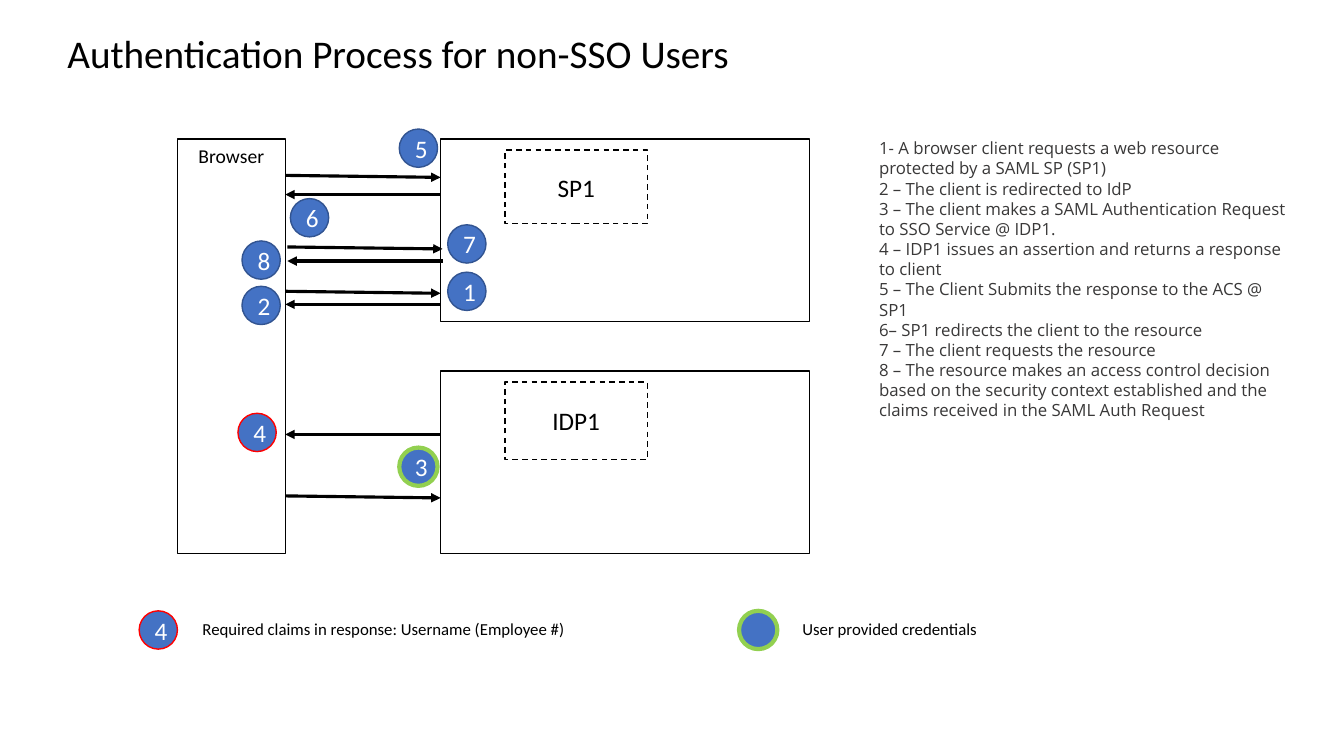
from pptx import Presentation
from pptx.dml.color import RGBColor
from pptx.enum.dml import MSO_LINE
from pptx.enum.shapes import MSO_CONNECTOR, MSO_SHAPE
from pptx.enum.text import MSO_ANCHOR, PP_ALIGN
from pptx.oxml.ns import qn
from pptx.util import Inches, Pt
from lxml import etree

BLACK = RGBColor(0x00, 0x00, 0x00)
WHITE = RGBColor(0xFF, 0xFF, 0xFF)
GRAY = RGBColor(0x39, 0x38, 0x38)
BLUE = RGBColor(0x44, 0x72, 0xC4)
DARK_BLUE = RGBColor(0x32, 0x54, 0x91)
RED = RGBColor(0xFF, 0x00, 0x00)
GREEN = RGBColor(0x92, 0xD0, 0x50)

RECTANGLE, OVAL = MSO_SHAPE.RECTANGLE, MSO_SHAPE.OVAL
STRAIGHT, DASH = MSO_CONNECTOR.STRAIGHT, MSO_LINE.DASH
LEFT, CENTER = PP_ALIGN.LEFT, PP_ALIGN.CENTER
TOP, MIDDLE = MSO_ANCHOR.TOP, MSO_ANCHOR.MIDDLE

CIRCLE_SIZE = 0.38

STEPS = [
    "1- A browser client requests a web resource protected by a SAML SP (SP1)",
    "2 – The client is redirected to IdP",
    "3 – The client makes a SAML Authentication Request to SSO Service @ IDP1.",
    "4 – IDP1 issues an assertion and returns a response to client",
    "5 – The Client Submits the response to the ACS @ SP1",
    "6– SP1 redirects the client to the resource",
    "7 – The client requests the resource",
    "8 – The resource makes an access control decision based on the security "
    "context established and the claims received in the SAML Auth Request",
]


def write_text(shape, lines, size=18, font="Calibri", color=BLACK,
               align=LEFT, anchor=TOP, line_spacing=None):
    frame = shape.text_frame
    frame.word_wrap = True
    frame.vertical_anchor = anchor
    frame.text = "\n".join(lines)
    for paragraph in frame.paragraphs:
        paragraph.alignment = align
        paragraph.line_spacing = line_spacing
        paragraph.font.size = Pt(size)
        paragraph.font.name = font
        paragraph.font.color.rgb = color


def add_text(slide, box, lines, **text_format):
    write_text(slide.shapes.add_textbox(*map(Inches, box)), lines, **text_format)


def add_box(slide, box, label="", dash=None, **text_format):
    shape = slide.shapes.add_shape(RECTANGLE, *map(Inches, box))
    shape.shadow.inherit = False
    shape.fill.background()
    shape.line.color.rgb = BLACK
    shape.line.width = Pt(1)
    if dash:
        shape.line.dash_style = dash
    if label:
        write_text(shape, [label], align=CENTER, **text_format)


def add_circle(slide, left, top, label="", outline=DARK_BLUE, width=1):
    size = Inches(CIRCLE_SIZE)
    shape = slide.shapes.add_shape(OVAL, Inches(left), Inches(top), size, size)
    shape.shadow.inherit = False
    shape.fill.solid()
    shape.fill.fore_color.rgb = BLUE
    shape.line.color.rgb = outline
    shape.line.width = Pt(width)
    if label:
        write_text(shape, [label], color=WHITE, align=CENTER, anchor=MIDDLE)


def add_arrow(slide, start, end):
    arrow = slide.shapes.add_connector(STRAIGHT, *map(Inches, start + end))
    arrow.line.color.rgb = BLACK
    arrow.line.width = Pt(2.25)
    etree.SubElement(arrow.line._get_or_add_ln(), qn("a:tailEnd"), type="triangle")
    etree.SubElement(arrow._element.spPr, qn("a:effectLst"))


def add_server(slide, box, name, label_top, label_height):
    left, top, _, _ = box
    add_box(slide, box)
    add_box(slide, (left + 0.64, top + label_top, 1.41, label_height), name,
            dash=DASH, anchor=MIDDLE)


def add_diagram(slide, left, top):
    browser_right, server_left = left + 1.07, left + 2.61

    # Browser and servers
    add_box(slide, (left, top, 1.07, 4.11), "Browser", size=14)
    add_server(slide, (server_left, top, 3.66, 1.81), "SP1", 0.11, 0.73)
    add_server(slide, (server_left, top + 2.3, 3.66, 1.81), "IDP1", 0.11, 0.77)

    # Requests run right and drop slightly; (offset from the gap, height)
    for shift, y in [(0, 0.36), (0.02, 1.07), (0, 1.51), (0, 3.54)]:
        add_arrow(slide, (browser_right + shift, top + y),
                  (server_left + shift, top + y + 0.02))

    # Responses run left
    for shift, y in [(0, 0.55), (0.02, 1.21), (0, 1.64), (0, 2.93)]:
        add_arrow(slide, (server_left + shift, top + y),
                  (browser_right + shift, top + y))

    # Step numbers
    for label, x, y in [("5", 2.2, -0.1), ("6", 1.12, 0.59), ("7", 2.68, 0.85),
                        ("8", 0.64, 1.01), ("1", 2.68, 1.32), ("2", 0.64, 1.46)]:
        add_circle(slide, left + x, top + y, label)
    add_circle(slide, left + 2.2, top + 3.06, "3", outline=GREEN, width=3)
    add_circle(slide, left + 0.6, top + 2.72, "4", outline=RED)


def add_legend(slide, left, top, text, text_width, **circle_format):
    add_circle(slide, left, top, **circle_format)
    add_text(slide, (left + 0.53, top + 0.03, text_width, 0.3), [text], size=12)


def main():
    presentation = Presentation()
    presentation.slide_width = Inches(13.33)
    presentation.slide_height = Inches(7.5)
    slide = presentation.slides.add_slide(presentation.slide_layouts[6])

    # Title
    add_text(slide, (0.57, 0.24, 8.79, 0.57),
             ["Authentication Process for non-SSO Users"], size=28)

    # Message flow and its explanation
    add_diagram(slide, 1.76, 1.38)
    add_text(slide, (8.62, 1.32, 4.25, 2.93), STEPS, size=12,
             font="Open Sans", color=GRAY)

    # Legend
    add_legend(slide, 1.38, 6.06, "Required claims in response: Username (Employee #)",
               5.68, label="4", outline=RED)
    add_legend(slide, 7.33, 6.06, "User provided credentials",
               4.25, outline=GREEN, width=3)

    presentation.save("out.pptx")


if __name__ == "__main__":
    main()
